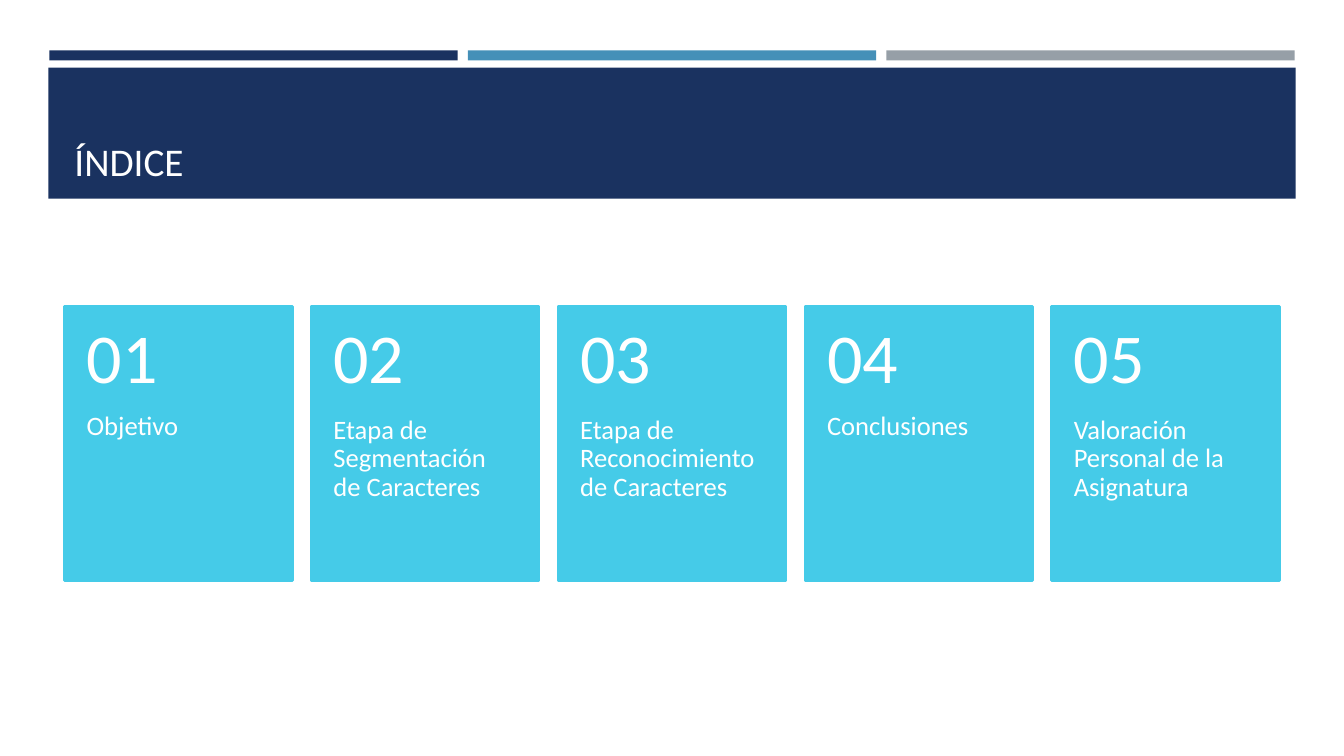
from pptx import Presentation, util as u
from pptx.dml.color import RGBColor
from pptx.enum import shapes, text

NAVY = RGBColor(0x1A, 0x32, 0x60)
BLUE = RGBColor(0x45, 0x90, 0xB8)
GREY = RGBColor(0x96, 0x9F, 0xA7)
CYAN = RGBColor(0x45, 0xCB, 0xE8)
WHITE = RGBColor(0xFF, 0xFF, 0xFF)

TITLE = "ÍNDICE"
TOPICS = [
    "Objetivo",
    "Etapa de Segmentación de Caracteres",
    "Etapa de Reconocimiento de Caracteres",
    "Conclusiones",
    "Valoración Personal de la Asignatura",
]

SLIDE_W, SLIDE_H = 13.33, 7.5
STRIPES = [NAVY, BLUE, GREY]
STRIPE_LEFT, STRIPE_TOP, STRIPE_W, STRIPE_H, STRIPE_GAP = 0.49, 0.5, 4.05, 0.1, 0.1
BANNER = (0.48, 0.67, 12.37, 1.3)
MARGIN = 0.64
TITLE_BOX = (MARGIN, 0.77, SLIDE_W - 2 * MARGIN, 1.11)
CARD_TOP, CARD_W, CARD_H = 3.04, 2.26, 2.72
CARD_PITCH = (SLIDE_W - 2 * MARGIN - CARD_W) / (len(TOPICS) - 1)
NUMBER_H = CARD_H * 0.4

TITLE_STYLE = dict(size=28, anchor=text.MSO_ANCHOR.BOTTOM, insets=(0.1, 0.05, 0.1, 0.05))
NUMBER_STYLE = dict(size=50, anchor=text.MSO_ANCHOR.MIDDLE,
                    insets=(0.22, 0.18, 0.22, 0.18), spacing=0.9)
TOPIC_STYLE = dict(size=19, anchor=text.MSO_ANCHOR.TOP,
                   insets=(0.22, 0, 0.22, 0.36), spacing=0.9)


def inches(box):
    return [u.Inches(v) for v in box]


def add_block(s, box, color, line_width=None):
    sp = s.shapes.add_shape(shapes.MSO_SHAPE.RECTANGLE, *inches(box))
    sp.shadow.inherit = False
    sp.fill.solid()
    sp.fill.fore_color.rgb = color
    if line_width:
        sp.line.color.rgb = color
        sp.line.width = u.Pt(line_width)
    else:
        sp.line.fill.background()


def add_label(s, box, words, size, anchor, insets, spacing=1.0):
    tf = s.shapes.add_textbox(*inches(box)).text_frame
    left, top, right, bottom = inches(insets)
    frame = dict(word_wrap=True, vertical_anchor=anchor, margin_left=left,
                 margin_top=top, margin_right=right, margin_bottom=bottom)
    for name, value in frame.items():
        setattr(tf, name, value)
    p = tf.paragraphs[0]
    p.line_spacing = spacing
    r = p.add_run()
    r.text = words
    for name, value in dict(name="Calibri", size=u.Pt(size)).items():
        setattr(r.font, name, value)
    r.font.color.rgb = WHITE


def main():
    prs = Presentation()
    prs.slide_width, prs.slide_height = inches((SLIDE_W, SLIDE_H))
    s = prs.slides.add_slide(prs.slide_layouts[6])

    for i, color in enumerate(STRIPES):
        left = STRIPE_LEFT + i * (STRIPE_W + STRIPE_GAP)
        add_block(s, (left, STRIPE_TOP, STRIPE_W, STRIPE_H), color)
    add_block(s, BANNER, NAVY)
    add_label(s, TITLE_BOX, TITLE, **TITLE_STYLE)

    for i, topic in enumerate(TOPICS):
        left = MARGIN + i * CARD_PITCH
        add_block(s, (left, CARD_TOP, CARD_W, CARD_H), CYAN, line_width=1.75)
        add_label(s, (left, CARD_TOP + NUMBER_H, CARD_W, CARD_H - NUMBER_H),
                  topic, **TOPIC_STYLE)
        add_label(s, (left, CARD_TOP, CARD_W, NUMBER_H), f"{i + 1:02d}", **NUMBER_STYLE)

    prs.save("out.pptx")


if __name__ == "__main__":
    main()
